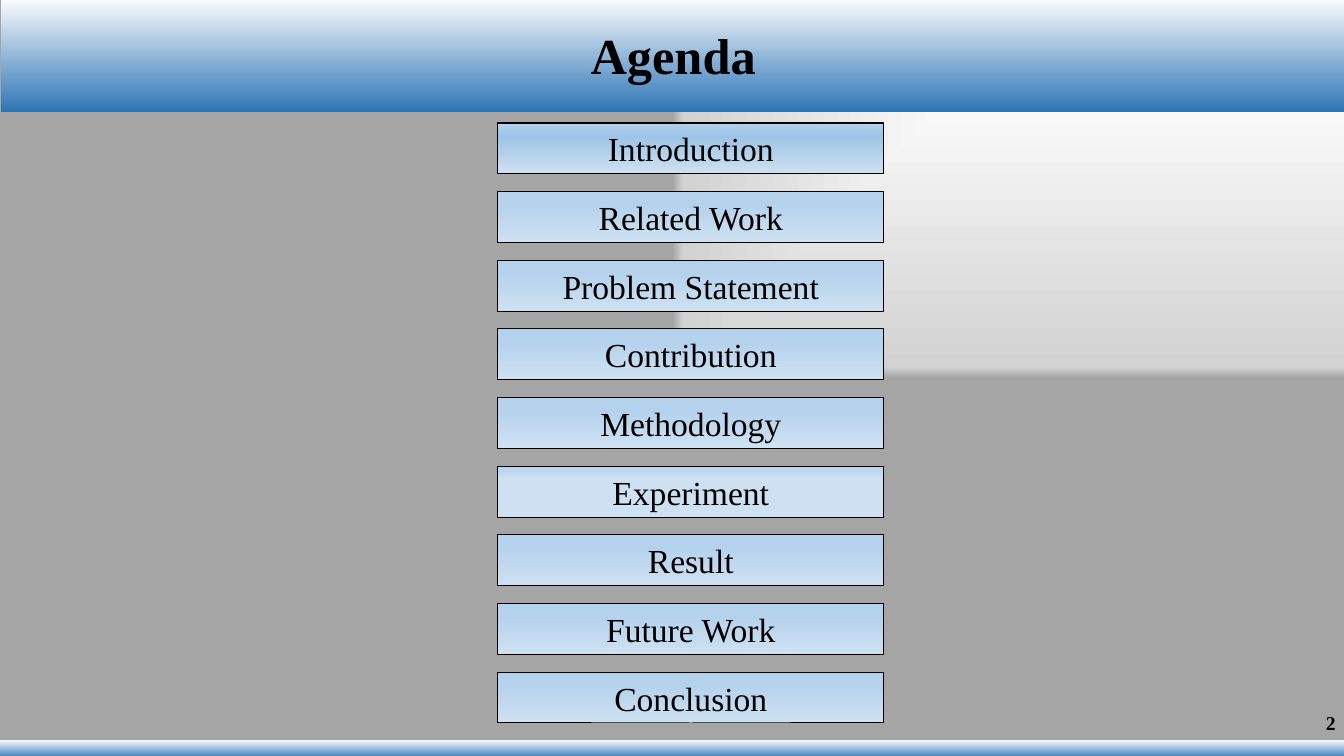
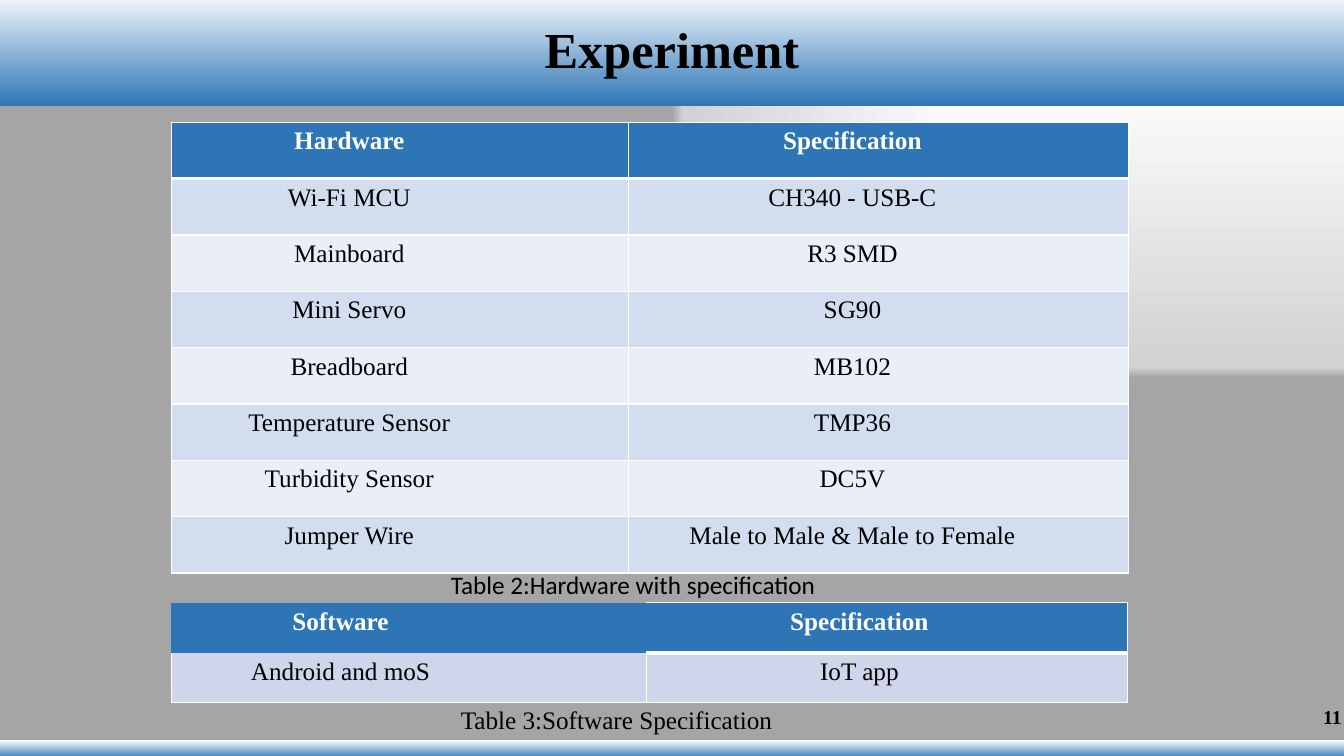
from dataclasses import dataclass

from pptx import Presentation
from pptx.dml.color import RGBColor
from pptx.enum.shapes import MSO_SHAPE
from pptx.enum.text import MSO_ANCHOR, PP_ALIGN
from pptx.oxml import parse_xml
from pptx.oxml.ns import nsdecls, qn
from pptx.util import Cm, Pt

RECTANGLE = MSO_SHAPE.RECTANGLE
MIDDLE = MSO_ANCHOR.MIDDLE
CENTER = PP_ALIGN.CENTER
RIGHT = PP_ALIGN.RIGHT


@dataclass(frozen=True)
class Theme:
    serif: str = "Times New Roman"
    sans: str = "Calibri"
    title_size: int = 36
    agenda_size: int = 24
    body_size: int = 18
    number_size: int = 14
    ink: str = "000000"
    white: str = "FFFFFF"
    header_fill: str = "2E75B6"
    hardware_rows: tuple = ("D2DEEF", "EAEFF7")
    software_rows: tuple = ("CFD5EA",)
    backdrop: tuple = ((6, "EEEEEE"), (19, "FFFFFF"), (97, "D2D2D2"), (100, "A5A5A5"))
    band: tuple = ((0, "FFFFFF"), (100, "2E75B6"))
    button: tuple = ((0, "B5D2EC"), (25, "B5D2EC"), (100, "CEE1F2"))
    button_first: tuple = ((0, "B5D2EC"), (25, "9DC3E6"), (100, "CEE1F2"))
    button_pale: tuple = ((0, "B5D2EC"), (25, "CEE1F2"))


theme = Theme()
DOWNWARD = '<a:lin ang="5400000" scaled="0"/>'
TOP_RIGHT = '<a:path path="rect"><a:fillToRect l="100000" b="100000"/></a:path>'


def set_gradient(fill, owner, stops, direction=DOWNWARD):
    fill.gradient()
    plain = owner.find(".//" + qn("a:gradFill"))
    marks = "".join(
        f'<a:gs pos="{position * 1000}"><a:srgbClr val="{color}"/></a:gs>'
        for position, color in stops
    )
    plain.getparent().replace(plain, parse_xml(
        f'<a:gradFill {nsdecls("a")} rotWithShape="1">'
        f"<a:gsLst>{marks}</a:gsLst>{direction}</a:gradFill>"
    ))


def write(frame, text, size, align=CENTER, bold=False, color=theme.ink, face=theme.serif):
    paragraph = frame.paragraphs[0]
    paragraph.text = text
    paragraph.alignment = align
    paragraph.font.name = face
    paragraph.font.size = Pt(size)
    paragraph.font.bold = bold
    paragraph.font.color.rgb = RGBColor.from_string(color)


prs = Presentation()
prs.slide_width = Cm(33.87)
prs.slide_height = Cm(19.05)
blank = prs.slide_layouts[6]
master = prs.slide_master
set_gradient(master.background.fill, master._element, theme.backdrop, TOP_RIGHT)

slides = []
for title, number, header_left, header_top, number_left, number_top in (
    ("Agenda", "2", 0.03, -0.1, 26.29, 17.7),
    ("Experiment", "11", 0, -0.25, 26.44, 17.55),
):
    slide = prs.slides.add_slide(blank)
    slides.append(slide)
    for left, top, height, heading in (
        (header_left, header_top, 2.92, title),
        (0, 18.64, 0.48, ""),
    ):
        band = slide.shapes.add_shape(
            RECTANGLE, Cm(left), Cm(top), prs.slide_width, Cm(height))
        band.shadow.inherit = False
        set_gradient(band.fill, band._element, theme.band)
        band.line.fill.background()
        if heading:
            band.text_frame.vertical_anchor = MIDDLE
            write(band.text_frame, heading, theme.title_size, bold=True)
    page = slide.shapes.add_textbox(Cm(number_left), Cm(number_top), Cm(7.62), Cm(1.02))
    page.text_frame.word_wrap = True
    page.text_frame.vertical_anchor = MIDDLE
    write(page.text_frame, number, theme.number_size, RIGHT, True)

agenda, experiment = slides

topics = (
    "Introduction", "Related Work", "Problem Statement", "Contribution", "Methodology",
    "Experiment", "Result", "Future Work", "Conclusion",
)
topic_fills = {"Introduction": theme.button_first, "Experiment": theme.button_pale}
for index, topic in enumerate(topics):
    button = agenda.shapes.add_shape(
        RECTANGLE, Cm(12.55), Cm(3.1 + 1.73 * index), Cm(9.72), Cm(1.28))
    button.shadow.inherit = False
    set_gradient(button.fill, button._element, topic_fills.get(topic, theme.button))
    button.line.color.rgb = RGBColor.from_string(theme.ink)
    button.line.width = Pt(0.75)
    button.text_frame.vertical_anchor = MIDDLE
    write(button.text_frame, topic, theme.agenda_size)

hardware = (
    ("Hardware", "Specification"),
    ("Wi-Fi MCU", "CH340 - USB-C"),
    ("Mainboard", "R3 SMD"),
    ("Mini Servo", "SG90"),
    ("Breadboard", "MB102"),
    ("Temperature Sensor", "TMP36"),
    ("Turbidity Sensor", "DC5V"),
    ("Jumper Wire", "Male to Male & Male to Female"),
)
software = (
    ("Software", "Specification"),
    ("Android and moS", "IoT app"),
)
open_corner = {(0, 0): "", (0, 1): "RTB", (1, 0): "LRB"}

for rows, top, row_height, widths, right_insets, row_fills, edges in (
    (hardware, 3.08, 1.42, (11.51, 12.6), (2.8, 1.55), theme.hardware_rows, {}),
    (software, 15.19, 1.26, (11.97, 12.13), (3.7, 1.65), theme.software_rows, open_corner),
):
    table = experiment.shapes.add_table(
        len(rows), len(widths), Cm(4.32), Cm(top),
        Cm(sum(widths)), Cm(row_height * len(rows))).table
    table.horz_banding = False
    for column, width in enumerate(widths):
        table.columns[column].width = Cm(width)
    for row, entries in enumerate(rows):
        table.rows[row].height = Cm(row_height)
        for column, entry in enumerate(entries):
            cell = table.cell(row, column)
            cell.margin_right = Cm(right_insets[column])
            header = row == 0
            write(cell.text_frame, entry, theme.body_size, bold=header,
                  color=theme.white if header else theme.ink)
            borders = cell._tc.get_or_add_tcPr()
            for side in "LRTB":
                thick = (row, side) in ((0, "B"), (1, "T"))
                stroke = "<a:noFill/>"
                if side in edges.get((row, column), "LRTB"):
                    stroke = f'<a:solidFill><a:srgbClr val="{theme.white}"/></a:solidFill>'
                borders.append(parse_xml(
                    f'<a:ln{side} {nsdecls("a")} w="{Pt(3 if thick else 1)}">'
                    f"{stroke}</a:ln{side}>"
                ))
            fill = theme.header_fill if header else row_fills[(row - 1) % len(row_fills)]
            cell.fill.solid()
            cell.fill.fore_color.rgb = RGBColor.from_string(fill)

for text, left, top, width, right_inset, face in (
    ("Table 2:Hardware with specification", 9.55, 14.22, 13.61, 1.05, theme.sans),
    ("Table 3:Software Specification", 9.98, 17.63, 14.17, 3.3, theme.serif),
):
    caption = experiment.shapes.add_textbox(Cm(left), Cm(top), Cm(width), Cm(1.02))
    caption.text_frame.word_wrap = True
    caption.text_frame.margin_right = Cm(right_inset)
    write(caption.text_frame, text, theme.body_size, face=face)

prs.save("out.pptx")
